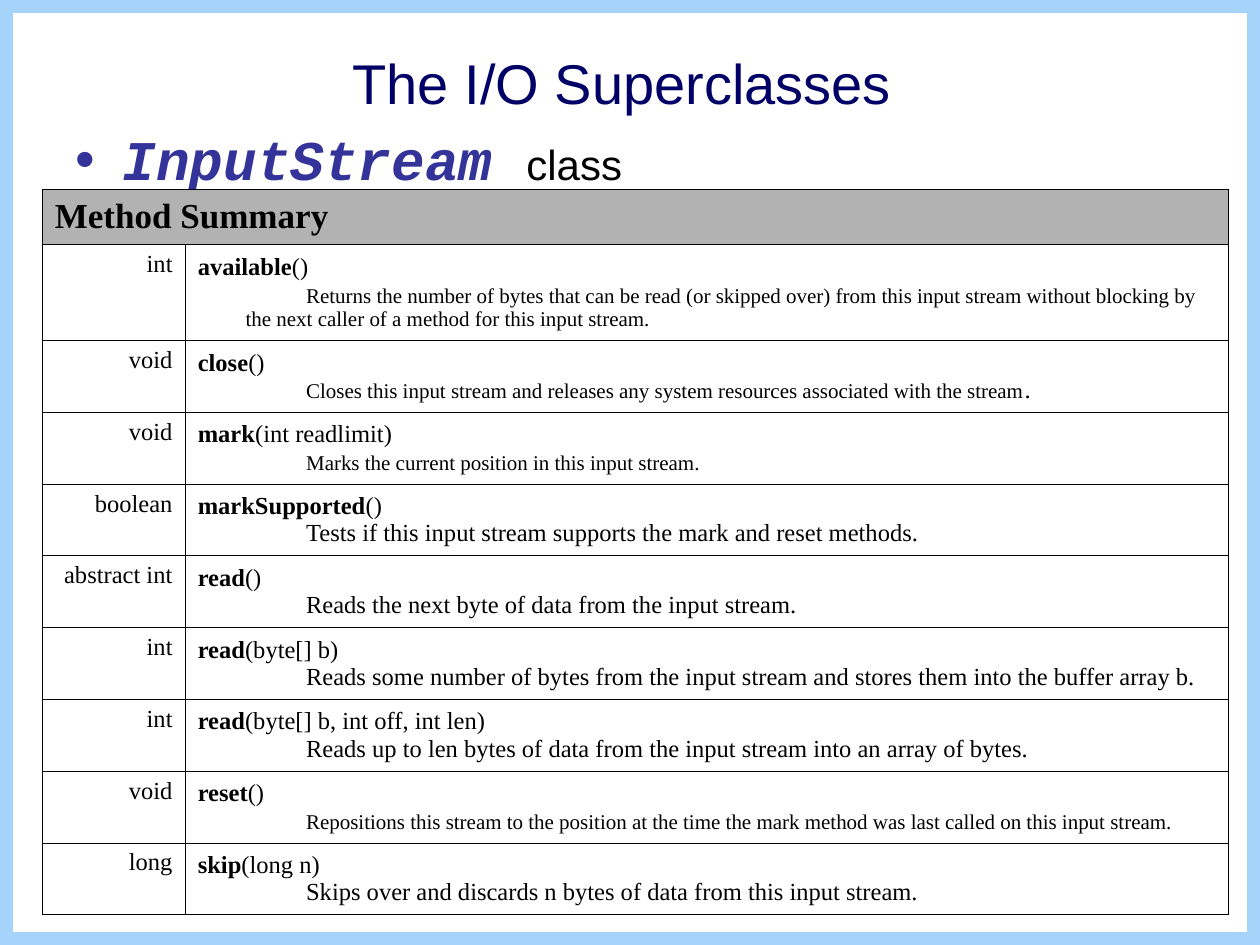
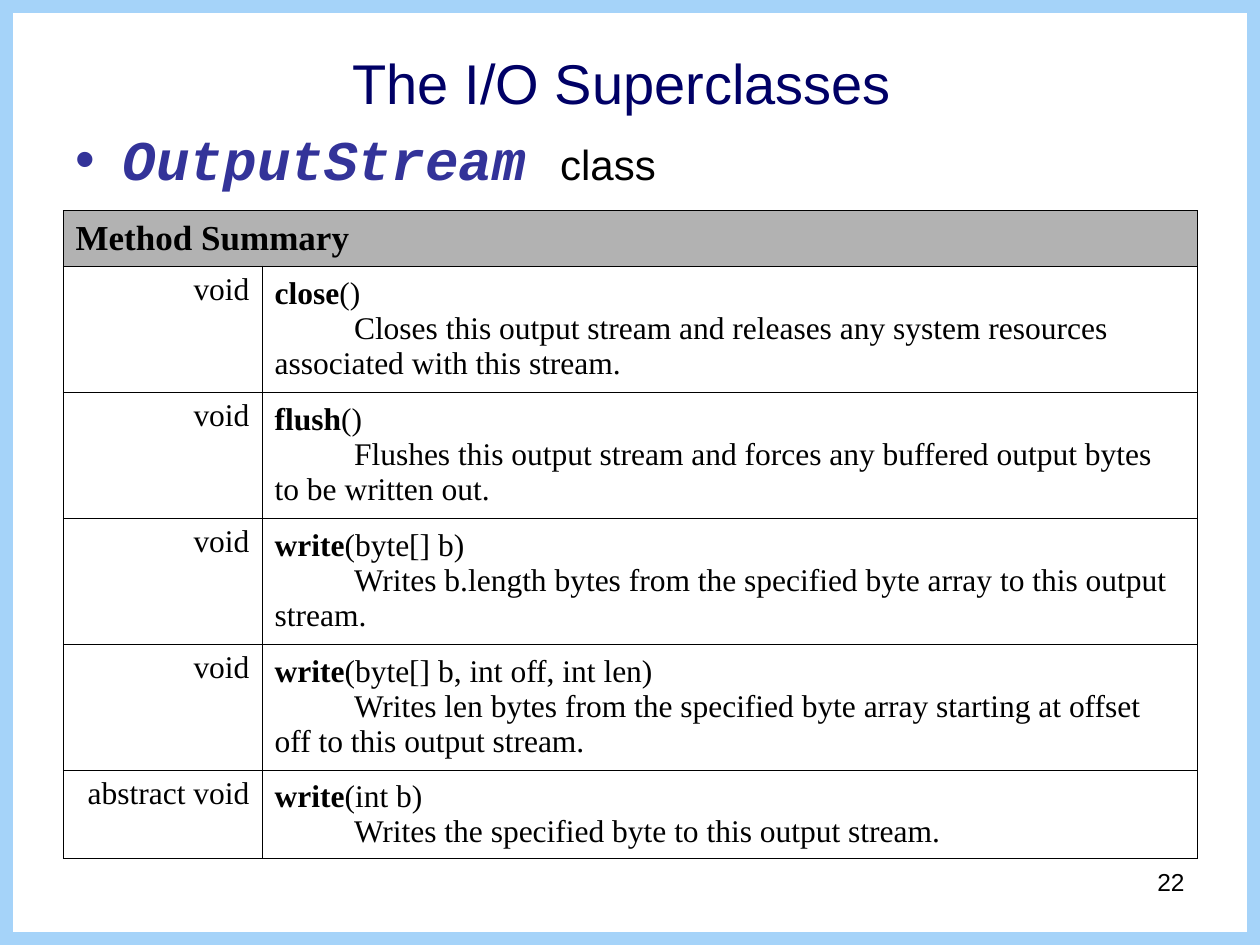
from collections import namedtuple

from lxml.etree import SubElement
from pptx import Presentation
from pptx.dml.color import RGBColor
from pptx.enum.shapes import MSO_SHAPE
from pptx.enum.text import MSO_ANCHOR, PP_ALIGN
from pptx.oxml.ns import qn
from pptx.util import Inches, Pt

NAVY = RGBColor(0x00, 0x00, 0x66)
INDIGO = RGBColor(0x33, 0x33, 0x99)
SKY = RGBColor(0xA5, 0xD3, 0xF9)
GRAY = RGBColor(0xB2, 0xB2, 0xB2)
BLACK = RGBColor(0x00, 0x00, 0x00)
WHITE = RGBColor(0xFF, 0xFF, 0xFF)

SANS, MONO, SERIF = "Arial", "Courier New", "Times New Roman"
GRID_COLUMNS, GRID_ROWS = 100, 75

Method = namedtuple("Method", "returns name arguments summary small ending", defaults=(False, ""))
Layout = namedtuple("Layout", "left top columns rows size hanging first_line")

INPUT_METHODS = [
    Method("int", "available", "()",
           "Returns the number of bytes that can be read (or skipped over) from this input stream "
           "without blocking by the next caller of a method for this input stream.", True),
    Method("void", "close", "()",
           "Closes this input stream and releases any system resources associated with the stream",
           True, "."),
    Method("void", "mark", "(int readlimit)", "Marks the current position in this input stream.", True),
    Method("boolean", "markSupported", "()",
           "Tests if this input stream supports the mark and reset methods."),
    Method("abstract int", "read", "()", "Reads the next byte of data from the input stream."),
    Method("int", "read", "(byte[] b)",
           "Reads some number of bytes from the input stream and stores them into the buffer array b."),
    Method("int", "read", "(byte[] b, int off, int len)",
           "Reads up to len bytes of data from the input stream into an array of bytes."),
    Method("void", "reset", "()",
           "Repositions this stream to the position at the time the mark method was last called "
           "on this input stream.", True),
    Method("long", "skip", "(long n)",
           "Skips over and discards n bytes of data from this input stream."),
]
OUTPUT_METHODS = [
    Method("void", "close", "()",
           "Closes this output stream and releases any system resources associated with this stream."),
    Method("void", "flush", "()",
           "Flushes this output stream and forces any buffered output bytes to be written out."),
    Method("void", "write", "(byte[] b)",
           "Writes b.length bytes from the specified byte array to this output stream."),
    Method("void", "write", "(byte[] b, int off, int len)",
           "Writes len bytes from the specified byte array starting at offset off to this output stream."),
    Method("abstract void", "write", "(int b)", "Writes the specified byte to this output stream."),
]

INPUT_LAYOUT = Layout(3.35, 15, (11.35, 82.8), [4.4, 7.6] + [5.7] * 8, 14, 3.8, 4.8)
OUTPUT_LAYOUT = Layout(5, 16.7, (15.8, 74.2), [4.4] + [10] * 4 + [7], 18, 0, 6.3)


class Deck:
    """Holds the shared style and the current slide of the class reference."""

    def __init__(self):
        self.presentation = Presentation()
        self.presentation.slide_width = Inches(10)
        self.presentation.slide_height = Inches(7.5)
        self.slide = None

    def across(self, columns):
        return round(self.presentation.slide_width * columns / GRID_COLUMNS)

    def down(self, rows):
        return round(self.presentation.slide_height * rows / GRID_ROWS)

    def area(self, left, top, width, height):
        return self.across(left), self.down(top), self.across(width), self.down(height)

    def start_slide(self):
        self.slide = self.presentation.slides.add_slide(self.presentation.slide_layouts[6])
        frame = self.slide.shapes.add_shape(
            MSO_SHAPE.RECTANGLE, *self.area(0, 0, GRID_COLUMNS, GRID_ROWS))
        frame.shadow.inherit = False
        frame.fill.background()
        frame.line.color.rgb = SKY
        frame.line.width = Pt(15)

    def text(self, left, top, width, height, align=PP_ALIGN.LEFT, anchor=MSO_ANCHOR.TOP):
        frame = self.slide.shapes.add_textbox(*self.area(left, top, width, height)).text_frame
        frame.word_wrap = True
        frame.vertical_anchor = anchor
        frame.paragraphs[0].alignment = align
        return frame.paragraphs[0]

    def run(self, paragraph, words, size, font=SERIF, color=BLACK, bold=False, italic=False):
        run = paragraph.add_run()
        run.text = words
        run.font.size = Pt(size)
        run.font.name = font
        run.font.color.rgb = color
        run.font.bold = bold
        run.font.italic = italic

    def indent(self, paragraph, margin, first_line):
        properties = paragraph._p.get_or_add_pPr()
        properties.set("marL", str(self.across(margin)))
        properties.set("indent", str(self.across(first_line)))
        return properties

    def title(self, words):
        heading = self.text(5, 3, 90, 7, PP_ALIGN.CENTER, MSO_ANCHOR.MIDDLE)
        self.run(heading, words, 32, SANS, NAVY)

    def class_bullet(self, class_name):
        bullet = self.text(5, 10, 90, 5.8)
        bullet.line_spacing = 0.9
        bullet.space_before = Pt(6)
        properties = self.indent(bullet, 3.75, -3.75)
        bullet_color = SubElement(properties, qn("a:buClr"))
        SubElement(bullet_color, qn("a:srgbClr"), val=str(INDIGO))
        SubElement(properties, qn("a:buFont"), typeface=SANS)
        SubElement(properties, qn("a:buChar"), char="•")
        self.run(bullet, class_name + " ", 32, MONO, INDIGO, bold=True, italic=True)
        self.run(bullet, "class", 24, SANS)

    def page_number(self, number):
        self.run(self.text(71.7, 68.3, 23.3, 5.2, PP_ALIGN.RIGHT), number, 14, SANS)

    def style_cell(self, cell, fill, anchor):
        properties = cell._tc.get_or_add_tcPr()
        for side in ("lnL", "lnR", "lnT", "lnB"):
            border = SubElement(properties, qn(f"a:{side}"), w=str(Pt(0.34)))
            SubElement(SubElement(border, qn("a:solidFill")), qn("a:srgbClr"), val=str(BLACK))
        cell.fill.solid()
        cell.fill.fore_color.rgb = fill
        cell.vertical_anchor = anchor

    def method_table(self, layout, methods):
        table = self.slide.shapes.add_table(
            len(layout.rows), len(layout.columns),
            *self.area(layout.left, layout.top, sum(layout.columns), sum(layout.rows))).table
        table.first_row = table.horz_banding = False
        for column, width in zip(table.columns, layout.columns):
            column.width = self.across(width)
        for row, height in zip(table.rows, layout.rows):
            row.height = self.down(height)

        header = table.cell(0, 0)
        for cell in table.rows[0].cells:
            self.style_cell(cell, GRAY, MSO_ANCHOR.MIDDLE)
        header.merge(table.cell(0, 1))
        self.run(header.text_frame.paragraphs[0], "Method Summary", 20, bold=True)

        for row_index, method in enumerate(methods, start=1):
            returns, details = table.rows[row_index].cells
            self.style_cell(returns, WHITE, MSO_ANCHOR.TOP)
            self.style_cell(details, WHITE, MSO_ANCHOR.MIDDLE)
            return_type = returns.text_frame.paragraphs[0]
            return_type.alignment = PP_ALIGN.RIGHT
            self.run(return_type, method.returns, layout.size)
            self.method_details(details.text_frame, method, layout)

    def method_details(self, frame, method, layout):
        signature = frame.paragraphs[0]
        self.run(signature, method.name, layout.size, bold=True)
        self.run(signature, method.arguments, layout.size)
        summary = frame.add_paragraph()
        self.indent(summary, layout.hanging, layout.first_line)
        if method.small and not method.ending:
            summary.space_before = Pt(2)
        self.run(summary, method.summary, layout.size - 2 if method.small else layout.size)
        if method.ending:
            self.run(summary, method.ending, layout.size)


def main():
    deck = Deck()
    for class_name, layout, methods, number in (
        ("InputStream", INPUT_LAYOUT, INPUT_METHODS, None),
        ("OutputStream", OUTPUT_LAYOUT, OUTPUT_METHODS, "22"),
    ):
        deck.start_slide()
        if number:
            deck.page_number(number)
        deck.title("The I/O Superclasses ")
        deck.class_bullet(class_name)
        deck.method_table(layout, methods)
    deck.presentation.save("out.pptx")


if __name__ == "__main__":
    main()
